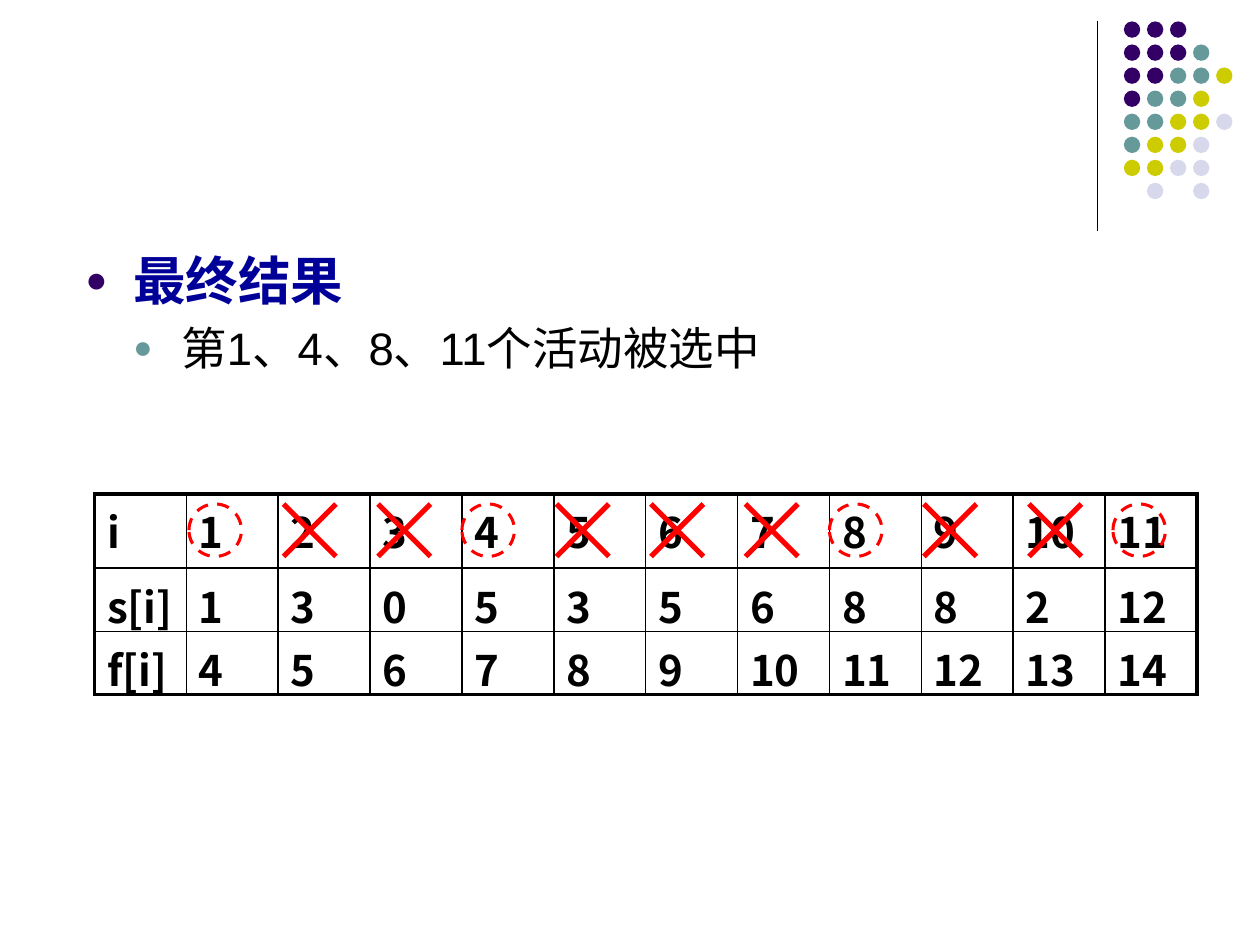
from lxml import etree
from pptx import Presentation
from pptx.dml.color import RGBColor
from pptx.enum.dml import MSO_LINE
from pptx.enum.shapes import MSO_CONNECTOR, MSO_SHAPE
from pptx.oxml.ns import qn
from pptx.util import Inches, Pt

OVAL = MSO_SHAPE.OVAL
STRAIGHT = MSO_CONNECTOR.STRAIGHT
DASH = MSO_LINE.DASH

# Content
COLORS = {"purple": "330066", "teal": "669999", "olive": "CCCC00", "lilac": "D8D8EC",
          "blue": "000099", "black": "000000", "red": "FF0000"}
LATIN, CHINESE = "Arial", "Noto Sans CJK SC"

BULLETS = [
    {"text": "最终结果", "size": 30, "color": "blue", "bold": True,
     "level": 0, "dot": "purple"},
    {"text": "第1、4、8、11个活动被选中", "size": 26, "color": "black", "bold": False,
     "level": 1, "dot": "teal"},
]
ACTIVITIES = [
    ["i", "1", "2", "3", "4", "5", "6", "7", "8", "9", "10", "11"],
    ["s[i]", "1", "3", "0", "5", "3", "5", "6", "8", "8", "2", "12"],
    ["f[i]", "4", "5", "6", "7", "8", "9", "10", "11", "12", "13", "14"],
]
SELECTED = {1, 4, 8, 11}
# Left edge of each activity's mark, in twelfths of an inch
MARK_LEFTS = [18, 27, 36, 44, 53, 62, 71, 79, 88, 98, 106]
DOT_ROWS = ["PPP", "PPPT", "PPTTO", "PTTO", "TTOOL", "TOOL", "OOLL", " L L"]
DOT_COLORS = {"P": "purple", "T": "teal", "O": "olive", "L": "lilac"}

# Layout, in inches
DOT_LEFT, DOT_TOP, DOT_STEP, DOT_SIZE = 8.92, 0.17, 0.183, 0.13
TABLE_LEFT, TABLE_TOP, TABLE_WIDTH = 0.75, 3.92, 8.75
ROW_HEIGHTS = [0.59, 0.5, 0.5]
MARK_TOP, MARK_SIZE = 4, 5 / 12
INDENT = 0.38
THIN, THICK = 1, 2.25


def rgb(name):
    return RGBColor.from_string(COLORS[name])


def write(para, text, *, size, color, bold, font):
    span = para.add_run()
    span.text = text
    span.font.size, span.font.bold, span.font.name = Pt(size), bold, font
    span.font.color.rgb = rgb(color)
    east_asian = etree.SubElement(span.font._element, qn("a:ea"))
    east_asian.set("typeface", CHINESE)


def add_bullet(para, color, level):
    props = para._p.get_or_add_pPr()
    props.set("marL", str(Inches(INDENT * (level + 1))))
    props.set("indent", str(-Inches(INDENT)))
    bullet_color = etree.SubElement(props, qn("a:buClr"))
    etree.SubElement(bullet_color, qn("a:srgbClr")).set("val", COLORS[color])
    etree.SubElement(props, qn("a:buSzPct")).set("val", "70000")
    etree.SubElement(props, qn("a:buFont")).set("typeface", LATIN)
    etree.SubElement(props, qn("a:buChar")).set("char", "●")


def add_line(page, start, end, color, width):
    line = page.shapes.add_connector(STRAIGHT, *map(Inches, (*start, *end)))
    line.line.color.rgb, line.line.width = rgb(color), Pt(width)
    etree.SubElement(line._element.spPr, qn("a:effectLst"))


def add_circle(page, left, top, size):
    circle = page.shapes.add_shape(OVAL, *map(Inches, (left, top, size, size)))
    circle.shadow.inherit = False
    return circle


def set_borders(cell, widths):
    cell.fill.background()
    props = cell._tc.get_or_add_tcPr()
    for index, (side, width) in enumerate(widths.items()):
        border = etree.Element(qn(f"a:ln{side}"), w=str(Pt(width)))
        fill = etree.SubElement(border, qn("a:solidFill"))
        etree.SubElement(fill, qn("a:srgbClr")).set("val", COLORS["black"])
        props.insert(index, border)


def add_decoration(page):
    add_line(page, (8.71, 0.17), (8.71, 1.83), "black", 0.75)
    for row, letters in enumerate(DOT_ROWS):
        for col, letter in enumerate(letters):
            if letter in DOT_COLORS:
                dot = add_circle(page, DOT_LEFT + col * DOT_STEP,
                                 DOT_TOP + row * DOT_STEP, DOT_SIZE)
                dot.fill.solid()
                dot.fill.fore_color.rgb = rgb(DOT_COLORS[letter])
                dot.line.fill.background()


def add_body(page):
    box = page.shapes.add_textbox(*map(Inches, (0.58, 1.92, 7.67, 1.33)))
    frame = box.text_frame
    frame.word_wrap = True
    for index, item in enumerate(BULLETS):
        para = frame.add_paragraph() if index else frame.paragraphs[0]
        para.level = item["level"]
        para.space_before = Pt(0.2 * item["size"])
        add_bullet(para, item["dot"], item["level"])
        write(para, item["text"], size=item["size"], color=item["color"],
              bold=item["bold"], font=LATIN)


def add_activities(page):
    last_row, last_col = len(ACTIVITIES) - 1, len(ACTIVITIES[0]) - 1
    table = page.shapes.add_table(
        last_row + 1, last_col + 1, Inches(TABLE_LEFT), Inches(TABLE_TOP),
        Inches(TABLE_WIDTH), Inches(sum(ROW_HEIGHTS))).table
    table.first_row = table.horz_banding = False
    for row, values in enumerate(ACTIVITIES):
        table.rows[row].height = Inches(ROW_HEIGHTS[row])
        for col, value in enumerate(values):
            cell = table.cell(row, col)
            write(cell.text_frame.paragraphs[0], value, size=24, color="black",
                  bold=True, font=CHINESE)
            outer = {"L": col == 0, "R": col == last_col,
                     "T": row == 0, "B": row == last_row}
            set_borders(cell, {side: THICK if edge else THIN
                               for side, edge in outer.items()})


def add_marks(page):
    bottom = MARK_TOP + MARK_SIZE
    for activity, twelfths in enumerate(MARK_LEFTS, start=1):
        left = twelfths / 12
        if activity in SELECTED:
            ring = add_circle(page, left, MARK_TOP, MARK_SIZE)
            ring.fill.background()
            ring.line.color.rgb, ring.line.width = rgb("red"), Pt(1.75)
            ring.line.dash_style = DASH
        else:
            right = left + MARK_SIZE
            add_line(page, (left, bottom), (right, MARK_TOP), "red", 3)
            add_line(page, (left, MARK_TOP), (right, bottom), "red", 3)


def main():
    deck = Presentation()
    deck.slide_width, deck.slide_height = Inches(10), Inches(7.5)
    page = deck.slides.add_slide(deck.slide_layouts[6])
    add_decoration(page)
    add_body(page)
    add_activities(page)
    add_marks(page)
    deck.save("out.pptx")


if __name__ == "__main__":
    main()
